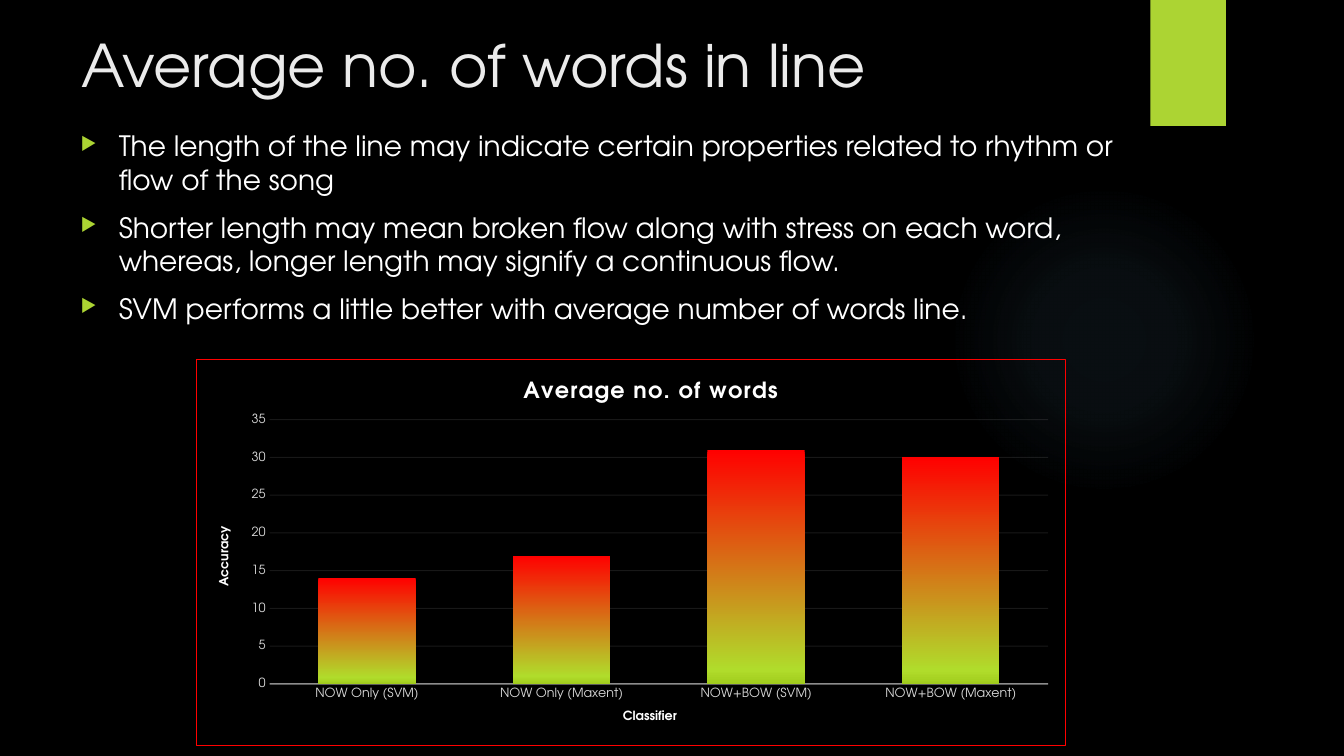
from lxml import etree
from pptx import Presentation
from pptx.chart.data import CategoryChartData
from pptx.dml.color import RGBColor
from pptx.enum.chart import XL_CHART_TYPE as ChartType, XL_TICK_MARK as TickMark
from pptx.enum.shapes import MSO_SHAPE as Shape
from pptx.enum.text import MSO_ANCHOR as Anchor
from pptx.oxml import parse_xml
from pptx.oxml.ns import nsdecls, qn
from pptx.util import Inches, Pt

FONT = "TeX Gyre Adventor"
BLACK = RGBColor(0x00, 0x00, 0x00)
WHITE = RGBColor(0xFF, 0xFF, 0xFF)
TITLE_GREY = RGBColor(0xEB, 0xEB, 0xEB)
LABEL_GREY = RGBColor(0xD9, 0xD9, 0xD9)
LINE_GREY = RGBColor(0xF2, 0xF2, 0xF2)
LIME = RGBColor(0xAC, 0xD4, 0x33)
BAR_LIME = RGBColor(0xB0, 0xDC, 0x2B)
BAR_GREEN = RGBColor(0xA1, 0xCC, 0x1D)
RED = RGBColor(0xFF, 0x00, 0x00)
SKY = RGBColor(0x7A, 0xC4, 0xF0)

POINTS = [
    "The length of the line may indicate certain properties related to rhythm "
    "or flow of the song",
    "Shorter length may mean broken flow along with stress on each word, "
    "whereas, longer length may signify a continuous flow.",
    "SVM performs a little better with average number of words line.",
]
ACCURACY = {
    "NOW Only (SVM)": 14,
    "NOW Only (Maxent)": 17,
    "NOW+BOW (SVM)": 31,
    "NOW+BOW (Maxent)": 30,
}
CHART_WIDTH, CHART_HEIGHT = 8.63, 3.84
DOWNWARD = '<a:lin ang="5400000" scaled="0"/>'
FROM_CENTRE = (
    '<a:path path="circle">'
    '<a:fillToRect l="50000" t="50000" r="50000" b="50000"/></a:path>'
)


def style_font(font, size, color, bold=False):
    font.name, font.size, font.bold = FONT, Pt(size), bold
    font.color.rgb = color


def fill_gradient(fill, properties, stops, direction):
    """Fill with (position, colour, opacity) stops, all in percent."""
    fill.solid()
    marks = "".join(
        f'<a:gs pos="{position * 1000}"><a:srgbClr val="{color}">'
        f'<a:alpha val="{opacity * 1000}"/></a:srgbClr></a:gs>'
        for position, color, opacity in stops
    )
    gradient = parse_xml(
        f'<a:gradFill {nsdecls("a")} rotWithShape="1">'
        f"<a:gsLst>{marks}</a:gsLst>{direction}</a:gradFill>"
    )
    properties.replace(properties.find(qn("a:solidFill")), gradient)


def draw_faint_line(line, parent, width, opacity):
    line.width = Pt(width)
    line.color.rgb = LINE_GREY
    for color in parent.iter(qn("a:srgbClr")):
        etree.SubElement(color, qn("a:alpha"), val=str(opacity * 1000))


def add_decor(slide, kind, left, top, width, height):
    shape = slide.shapes.add_shape(
        kind, Inches(left), Inches(top), Inches(width), Inches(height))
    shape.shadow.inherit = False
    shape.line.fill.background()
    return shape


def add_text(slide, left, top, width, height, lines, size, color):
    box = slide.shapes.add_textbox(
        Inches(left), Inches(top), Inches(width), Inches(height))
    frame = box.text_frame
    frame.word_wrap = True
    frame.vertical_anchor = Anchor.TOP
    for index, line in enumerate(lines):
        para = frame.add_paragraph() if index else frame.paragraphs[0]
        span = para.add_run()
        span.text = line
        style_font(span.font, size, color)
    return frame


def add_bullet(para):
    para.space_before = Pt(10)
    properties = para._p.get_or_add_pPr()
    properties.set("marL", str(Inches(0.38)))
    properties.set("indent", str(Inches(-0.38)))
    color = etree.SubElement(properties, qn("a:buClr"))
    etree.SubElement(color, qn("a:srgbClr"), val=str(LIME))
    etree.SubElement(properties, qn("a:buSzPct"), val="65000")
    etree.SubElement(properties, qn("a:buChar"), char="▶")


def write_title(owner, text, size, spacing=0):
    para = owner.text_frame.paragraphs[0]
    span = para.add_run()
    span.text = text
    style_font(span.font, size, WHITE, bold=True)
    span.font._element.set("spc", str(spacing))


def style_axis(axis, title):
    write_title(axis.axis_title, title, 9)
    axis.major_tick_mark = axis.minor_tick_mark = TickMark.NONE
    style_font(axis.tick_labels.font, 9, LABEL_GREY)


def make_layout(left, top, width=None, height=None):
    """Place a chart part, in inches from the chart's corner."""
    shares = {"x": left / CHART_WIDTH, "y": top / CHART_HEIGHT}
    target = ""
    if width:
        shares.update(w=width / CHART_WIDTH, h=height / CHART_HEIGHT)
        target = '<c:layoutTarget val="inner"/>'
    sizes = "".join(f'<c:{key} val="{share}"/>' for key, share in shares.items())
    return parse_xml(
        f'<c:layout {nsdecls("c")}><c:manualLayout>{target}'
        f'<c:xMode val="edge"/><c:yMode val="edge"/>{sizes}'
        "</c:manualLayout></c:layout>")


def place_parts(chart):
    area = chart._chartSpace.chart.plotArea
    title = chart.chart_title._element
    for parent in (area, title):
        for old in parent.findall(qn("c:layout")):
            parent.remove(old)
    area.insert(0, make_layout(0.73, 0.6, 7.73, 2.63))
    title.find(qn("c:tx")).addnext(make_layout(3.21, 0.16))


def add_border(chart):
    border = parse_xml(
        f'<c:spPr {nsdecls("c", "a")}><a:noFill/><a:ln w="{Pt(0.75)}">'
        f'<a:solidFill><a:srgbClr val="{RED}"/></a:solidFill></a:ln></c:spPr>')
    chart._chartSpace.chart.addnext(border)


def add_accuracy_chart(slide):
    data = CategoryChartData()
    data.categories = list(ACCURACY)
    data.add_series("Series 1", list(ACCURACY.values()))
    chart = slide.shapes.add_chart(
        ChartType.COLUMN_CLUSTERED, Inches(1.94), Inches(3.56),
        Inches(CHART_WIDTH), Inches(CHART_HEIGHT), data).chart
    style_font(chart.font, 10, WHITE)
    chart.has_legend = False
    chart.has_title = True
    write_title(chart.chart_title, "Average no. of words", 16, spacing=100)
    chart.chart_title.include_in_layout = False

    plot = chart.plots[0]
    plot.gap_width, plot.overlap, plot.vary_by_categories = 100, -24, False
    bars = plot.series[0]
    fill_gradient(
        bars.format.fill, bars._element.spPr,
        [(0, RED, 100), (94, BAR_LIME, 100), (100, BAR_GREEN, 100)], DOWNWARD)

    classifier, accuracy = chart.category_axis, chart.value_axis
    style_axis(classifier, "Classifier")
    line = classifier.format.line
    draw_faint_line(line, classifier._element.find(qn("c:spPr")), 1, 54)
    style_axis(accuracy, "Accuracy")
    accuracy.minimum_scale, accuracy.maximum_scale = 0, 35
    accuracy.major_unit = 5
    accuracy.format.line.fill.background()
    grid = accuracy.major_gridlines.format.line
    draw_faint_line(grid, accuracy._element.find(qn("c:majorGridlines")), 0.75, 10)
    place_parts(chart)
    add_border(chart)


def main():
    deck = Presentation()
    deck.slide_width, deck.slide_height = Inches(13.33), Inches(7.5)
    page = deck.slides.add_slide(deck.slide_layouts[6])
    page.background.fill.solid()
    page.background.fill.fore_color.rgb = BLACK

    glow = add_decor(page, Shape.OVAL, 9.41, 1.83, 3.08, 3.08)
    fill_gradient(glow.fill, glow._element.spPr,
                  [(0, SKY, 7), (36, SKY, 6), (69, SKY, 0)], FROM_CENTRE)
    tab = add_decor(page, Shape.RECTANGLE, 11.41, 0, 0.75, 1.25)
    tab.fill.solid()
    tab.fill.fore_color.rgb = LIME

    add_text(page, 0.71, 0.24, 10.29, 1.34,
             ["Average no. of words in line"], 42, TITLE_GREY)
    body = add_text(page, 0.7, 1.23, 10.69, 5.92, POINTS, 20, WHITE)
    for para in body.paragraphs:
        add_bullet(para)
    add_accuracy_chart(page)
    deck.save("out.pptx")


if __name__ == "__main__":
    main()
